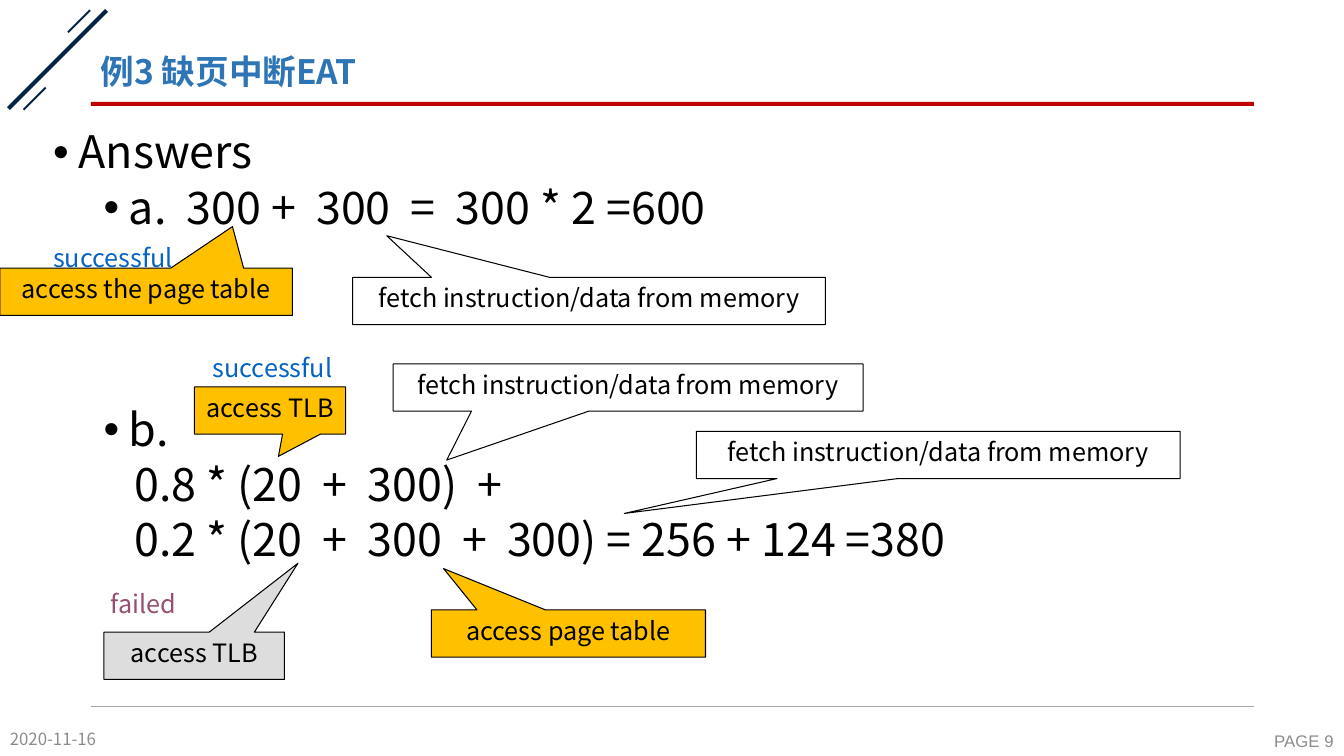
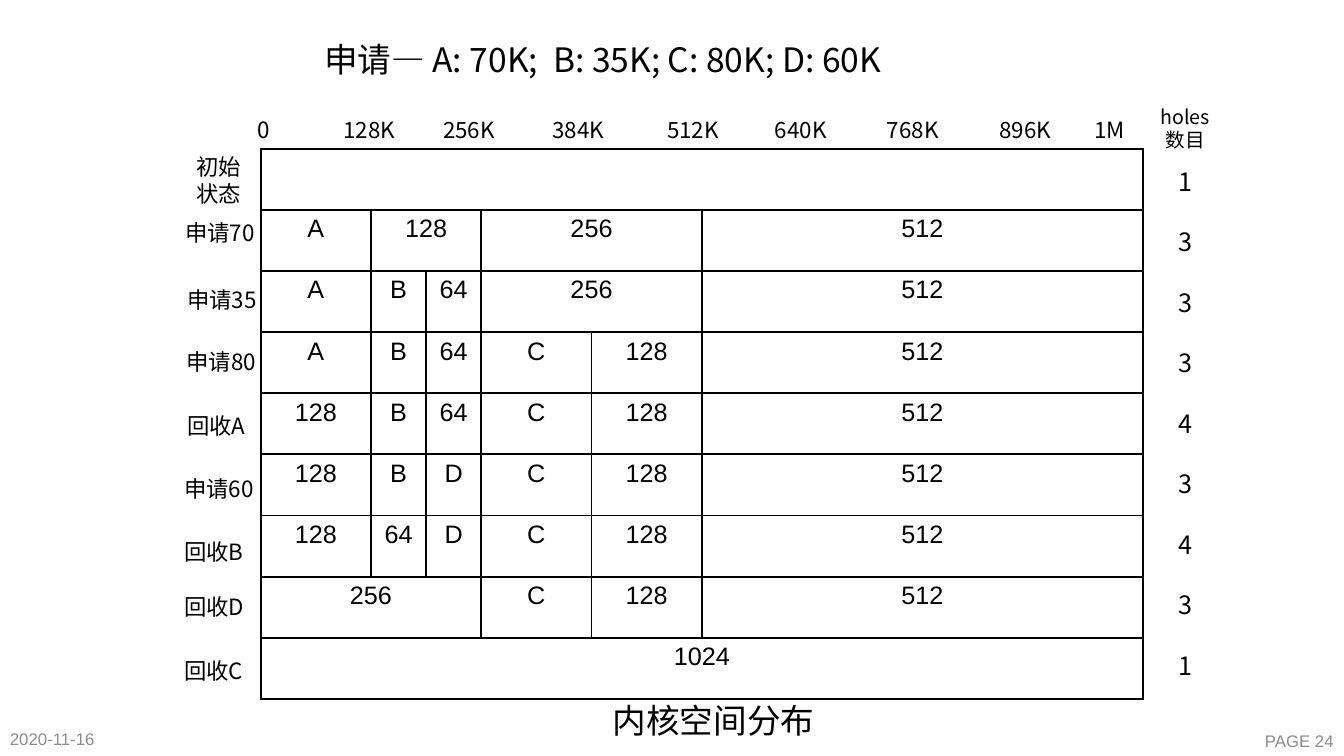
"""Build two slides: a page fault timing example and a buddy allocation table."""
import pptx
import pptx.dml.color
import pptx.enum.shapes
import pptx.enum.text
import pptx.oxml.ns
import pptx.util
import lxml.etree

Cm = pptx.util.Cm
Pt = pptx.util.Pt
Shape = pptx.enum.shapes.MSO_SHAPE
Align = pptx.enum.text.PP_ALIGN
Anchor = pptx.enum.text.MSO_ANCHOR
RGB = pptx.dml.color.RGBColor.from_string
qn = pptx.oxml.ns.qn
sub = lxml.etree.SubElement


class Theme:
    sans = "Noto Sans CJK SC"
    arial = "Arial"
    black = "000000"
    white = "FFFFFF"
    navy = "052547"
    red = "C00000"
    blue = "2E75B6"
    gray = "8C8C8C"
    rule = "A6A6A6"
    gold = "FFC000"
    silver = "DDDDDD"
    good = "0563C1"
    bad = "954F72"
    body = 32
    title = 24
    note = 18
    label = 16
    small = 14
    foot = 12


def write(frame, text, size, color=Theme.black, font=Theme.sans,
          align=Align.LEFT, anchor=Anchor.TOP, bold=False):
    frame.text = text
    frame.word_wrap = True
    frame.vertical_anchor = anchor
    for para in frame.paragraphs:
        para.alignment = align
        for run in para.runs:
            run.font.size = Pt(size)
            run.font.bold = bold
            run.font.color.rgb = RGB(color)
            run.font.name = font
            sub(run.font._element, qn("a:ea"), typeface=font)


def label(slide, box, text, size, **style):
    frame = slide.shapes.add_textbox(*map(Cm, box)).text_frame
    write(frame, text, size, **style)
    return frame


deck = pptx.Presentation()
deck.slide_width = Cm(33.87)
deck.slide_height = Cm(19.05)
blank = deck.slide_layouts[6]
fault = deck.slides.add_slide(blank)
buddy = deck.slides.add_slide(blank)

for slide, page, font in ((fault, 9, Theme.sans), (buddy, 24, Theme.arial)):
    label(slide, (0, 18.19, 3, 0.86), "2020-11-16", Theme.foot,
          color=Theme.gray, font=font, anchor=Anchor.MIDDLE)
    label(slide, (30.2, 18.24, 3.66, 0.86), f"PAGE {page}", Theme.foot,
          color=Theme.gray, font=Theme.arial, align=Align.RIGHT,
          anchor=Anchor.MIDDLE)

bars = (
    (-0.3, 1.45, 3.5, 0.1, 315, Theme.navy),
    (1.6, 0.51, 0.79, 0.05, 315, Theme.navy),
    (0.48, 2.46, 0.79, 0.05, 315, Theme.navy),
    (2.29, 2.57, 29.31, 0.1, 0, Theme.red),
)
for *box, turn, color in bars:
    bar = fault.shapes.add_shape(Shape.RECTANGLE, *map(Cm, box))
    bar.shadow.inherit = False
    bar.rotation = turn
    bar.fill.solid()
    bar.fill.fore_color.rgb = RGB(color)
    bar.line.fill.background()

rule = fault.shapes.add_connector(
    pptx.enum.shapes.MSO_CONNECTOR.STRAIGHT, Cm(2.29), Cm(17.81), Cm(31.6), Cm(17.81))
rule.line.color.rgb = RGB(Theme.rule)
rule.line.width = Pt(0.5)
sub(rule._element.spPr, qn("a:effectLst"))

label(fault, (2.29, 1.02, 29.31, 1.52), "例3 缺页中断EAT", Theme.title,
      color=Theme.blue, bold=True, anchor=Anchor.MIDDLE)

lines = (
    ("Answers", 0.64, -0.64, 0),
    ("a.  300 +  300  =  300 * 2 =600", 1.91, -0.64, 5),
    ("b.", 1.91, -0.64, 124),
    ("0.8 * (20  +  300)  +", 2.05, 0, 5),
    ("0.2 * (20  +  300  +  300) = 256 + 124 =380", 2.05, 0, 5),
)
body = label(fault, (1.09, 3.15, 31.93, 14.33),
             "\n".join(line[0] for line in lines), Theme.body)
for para, (text, left, hang, gap) in zip(body.paragraphs, lines):
    props = para._p.get_or_add_pPr()
    props.set("marL", str(Cm(left)))
    props.set("indent", str(Cm(hang)))
    if hang:
        sub(props, qn("a:buFont"), typeface=Theme.arial)
        sub(props, qn("a:buChar"), char="•")
    para.line_spacing = 0.9
    para.space_before = Pt(gap)

fetch = "fetch instruction/data from memory"
calls = (
    (0, 6.76, 7.37, "access the page table", Theme.gold, 0.295, -1.382),
    (8.89, 6.99, 11.91, fetch, Theme.white, -0.428, -1.382),
    (4.9, 9.75, 3.81, "access TLB", Theme.gold, 0.056, 0.971),
    (9.91, 9.17, 11.84, fetch, Theme.white, -0.386, 1.537),
    (2.62, 15.93, 4.55, "access TLB", Theme.silver, 0.575, -1.96),
    (10.87, 15.37, 6.91, "access page table", Theme.gold, -0.455, -1.375),
    (17.55, 10.87, 12.19, fetch, Theme.white, -0.649, 1.239),
)
for left, top, width, text, color, tip_x, tip_y in calls:
    call = fault.shapes.add_shape(
        Shape.RECTANGULAR_CALLOUT, Cm(left), Cm(top), Cm(width), Cm(1.19))
    call.shadow.inherit = False
    call.adjustments[0] = tip_x
    call.adjustments[1] = tip_y
    call.fill.solid()
    call.fill.fore_color.rgb = RGB(color)
    call.line.color.rgb = RGB(Theme.black)
    call.line.width = Pt(0.75)
    write(call.text_frame, text, Theme.note, align=Align.CENTER)

for left, top, text, color in (
    (1.09, 5.97, "successful", Theme.good),
    (5.11, 8.76, "successful", Theme.good),
    (2.54, 14.71, "failed", Theme.bad),
):
    label(fault, (left, top, 3.8, 1.02), text, Theme.note, color=color)

rows = (
    (None,) * 6,
    ("A", "128", None, "256", None, "512"),
    ("A", "B", "64", "256", None, "512"),
    ("A", "B", "64", "C", "128", "512"),
    ("128", "B", "64", "C", "128", "512"),
    ("128", "B", "D", "C", "128", "512"),
    ("128", "64", "D", "C", "128", "512"),
    ("256", None, None, "C", "128", "512"),
    ("1024",) + (None,) * 5,
)
units = (2, 1, 1, 2, 2, 8)
unit, high = 1.39, 1.54
grid = buddy.shapes.add_table(
    len(rows), len(units), Cm(6.57), Cm(3.75),
    Cm(unit * sum(units)), Cm(high * len(rows))).table
grid.first_row = False
grid.horz_banding = False
for col, count in zip(grid.columns, units):
    col.width = Cm(unit * count)
for y, row in enumerate(rows):
    grid.rows[y].height = Cm(high)
    for x, text in enumerate(row):
        cell = grid.cell(y, x)
        cell.fill.background()
        props = cell._tc.get_or_add_tcPr()
        for spot, side in enumerate("LRTB"):
            edge = lxml.etree.Element(qn(f"a:ln{side}"), w=str(Pt(1.5)))
            fill = sub(edge, qn("a:solidFill"))
            sub(fill, qn("a:srgbClr"), val=Theme.black)
            props.insert(spot, edge)
        if text:
            write(cell.text_frame, text, Theme.note, font=Theme.arial,
                  align=Align.CENTER)
    starts = [x for x, text in enumerate(row) if text or x == 0]
    for start, stop in zip(starts, starts[1:] + [len(row)]):
        if stop - start > 1:
            grid.cell(y, start).merge(grid.cell(y, stop - 1))

for left, text in (
    (6.25, "0"), (8.41, "128K"), (10.92, "256K"), (13.67, "384K"),
    (16.56, "512K"), (19.28, "640K"), (22.1, "768K"), (24.94, "896K"),
    (27.33, "1M"),
):
    label(buddy, (left, 2.8, 2.49, 0.94), text, Theme.label)

for left, top, width, text in (
    (4.7, 3.73, 1.8, "初始\n状态"),
    (4.42, 5.41, 2.29, "申请70"),
    (4.47, 7.09, 2.29, "申请35"),
    (4.45, 8.64, 2.29, "申请80"),
    (4.47, 10.26, 2.29, "回收A"),
    (4.39, 11.84, 2.6, "申请60"),
    (4.39, 13.44, 2.29, "回收B"),
    (4.39, 14.83, 2.29, "回收D"),
    (4.39, 16.43, 2.29, "回收C"),
):
    label(buddy, (left, top, width, 0.94), text, Theme.label)

label(buddy, (7.92, 0.86, 17.96, 1.3),
      "申请— A: 70K;  B: 35K; C: 80K; D: 60K", Theme.title)
label(buddy, (15.19, 17.5, 6, 1.3), "内核空间分布", Theme.title)
label(buddy, (28.87, 2.51, 2, 1.45), "holes\n数目", Theme.small,
      align=Align.CENTER)
holes = label(buddy, (29.46, 4.06, 1.2, 13.34), "\n".join("133343431"), Theme.note)
for para in holes.paragraphs[1:]:
    para.space_before = Pt(21.6)

deck.save("out.pptx")
